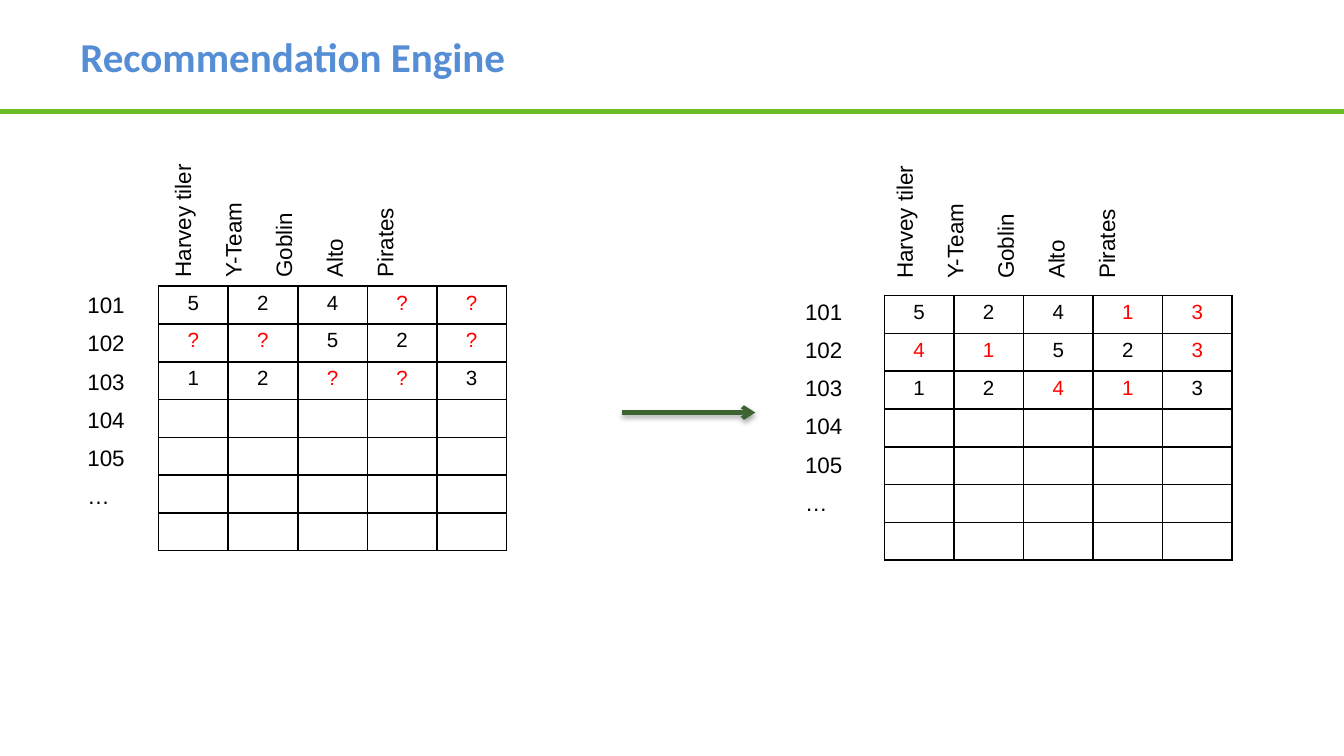
import pptx
import pptx.dml.color
import pptx.enum.shapes
import pptx.enum.text
import pptx.oxml
import pptx.oxml.ns
import pptx.util
from lxml import etree

Inches = pptx.util.Inches
Pt = pptx.util.Pt
qn = pptx.oxml.ns.qn

COLORS = {
    "title": "558ED5",
    "rule": "69BE28",
    "arrow": "3B6431",
    "text": "000000",
    "unknown": "FF0000",
}

MOVIES = ["Harvey tiler", "Y-Team", "Goblin", "Alto", "Pirates"]
USERS = ["101", "102", "103", "104", "105", "…"]
KNOWN = ["524??", "??52?", "12??3"]
PREDICTED = ["52413", "41523", "12413"]
ROW_COUNT = 7


class Page:
    def __init__(self, deck):
        self.slide = deck.slides.add_slide(deck.slide_layouts[6])
        self.shapes = self.slide.shapes

    def color(self, name):
        return pptx.dml.color.RGBColor.from_string(COLORS[name])

    def span(self, para, text, size, color="text", font="Arial", bold=False):
        span = para.add_run()
        span.text = text
        span.font.size = Pt(size)
        span.font.name = font
        span.font.bold = bold
        span.font.color.rgb = self.color(color)

    def title(self, text):
        box = self.shapes.add_textbox(Inches(0.5), 0, Inches(9), Inches(0.83))
        frame = box.text_frame
        frame.word_wrap = True
        frame.vertical_anchor = pptx.enum.text.MSO_ANCHOR.MIDDLE
        self.span(frame.paragraphs[0], text, 22, "title", "Calibri", True)

    def labels(self, texts, left, top, width, height, before, after, spacing=1.0, rotation=0):
        box = self.shapes.add_textbox(Inches(left), Inches(top), Inches(width), Inches(height))
        box.rotation = rotation
        frame = box.text_frame
        frame.word_wrap = False
        frame.margin_left = frame.margin_right = Inches(0.07)
        frame.margin_top = frame.margin_bottom = Inches(0.04)
        for index, text in enumerate(texts):
            para = frame.add_paragraph() if index else frame.paragraphs[0]
            para.space_before = Pt(before if index else 0)
            para.space_after = Pt(after)
            para.line_spacing = spacing
            self.span(para, text, 12)

    def movies(self, left, top):
        self.labels(MOVIES, left, top, 1.02, 2.73, 5.2, 7.5, rotation=270)

    def users(self, left, top):
        self.labels(USERS, left, top, 1.01, 1.8, 4.5, 3, spacing=0.9)

    def border(self, cell):
        props = cell._tc.get_or_add_tcPr()
        for index, side in enumerate(["a:lnL", "a:lnR", "a:lnT", "a:lnB"]):
            line = etree.Element(qn(side), w=str(Pt(1)))
            fill = etree.SubElement(line, qn("a:solidFill"))
            etree.SubElement(fill, qn("a:srgbClr"), val=COLORS["text"])
            props.insert(index, line)

    def ratings(self, rows, left, top):
        frame = self.shapes.add_table(
            ROW_COUNT, len(MOVIES), Inches(left), Inches(top), Inches(2.59), Inches(1.97))
        table = frame.table
        table.first_row = table.horz_banding = False
        for column in table.columns:
            column.width = Inches(2.59 / len(MOVIES))
        for index, row in enumerate(table.rows):
            row.height = Inches(1.97 / ROW_COUNT)
            for position, cell in enumerate(row.cells):
                cell.fill.background()
                self.border(cell)
                cell.margin_top = cell.margin_bottom = Inches(0.04)
                para = cell.text_frame.paragraphs[0]
                para.alignment = pptx.enum.text.PP_ALIGN.CENTER
                if index < len(rows):
                    color = "unknown" if KNOWN[index][position] == "?" else "text"
                    self.span(para, rows[index][position], 11, color)
                else:
                    etree.SubElement(para._p, qn("a:endParaRPr"), sz="1100")

    def line(self, start, end, y, color):
        line = self.shapes.add_connector(
            pptx.enum.shapes.MSO_CONNECTOR.STRAIGHT,
            Inches(start), Inches(y), Inches(end), Inches(y))
        line.line.color.rgb = self.color(color)
        line.line.width = Pt(2.25)
        effects = etree.SubElement(line._element.spPr, qn("a:effectLst"))
        return line, effects

    def arrow(self, start, end, y):
        line, effects = self.line(start, end, y, "arrow")
        etree.SubElement(line.line._get_or_add_ln(), qn("a:tailEnd"), type="arrow")
        shadow = etree.SubElement(
            effects, qn("a:outerShdw"), blurRad=str(Pt(3.1)), dist=str(Pt(1.6)),
            dir="5400000", rotWithShape="0")
        tint = etree.SubElement(shadow, qn("a:srgbClr"), val=COLORS["text"])
        etree.SubElement(tint, qn("a:alpha"), val="38000")


def main():
    deck = pptx.Presentation()
    deck.slide_width = Inches(10)
    deck.slide_height = Inches(10 * 9 / 16)
    page = Page(deck)
    page.line(0, 10, 0.83, "rule")
    page.title("Recommendation Engine")
    page.ratings(KNOWN, 1.18, 2.13)
    page.movies(2.07, 0.26)
    page.ratings(PREDICTED, 6.58, 2.2)
    page.arrow(4.63, 5.62, 3.07)
    page.users(0.58, 2.15)
    page.users(5.92, 2.2)
    page.movies(7.44, 0.27)
    deck.save("out.pptx")


if __name__ == "__main__":
    main()
